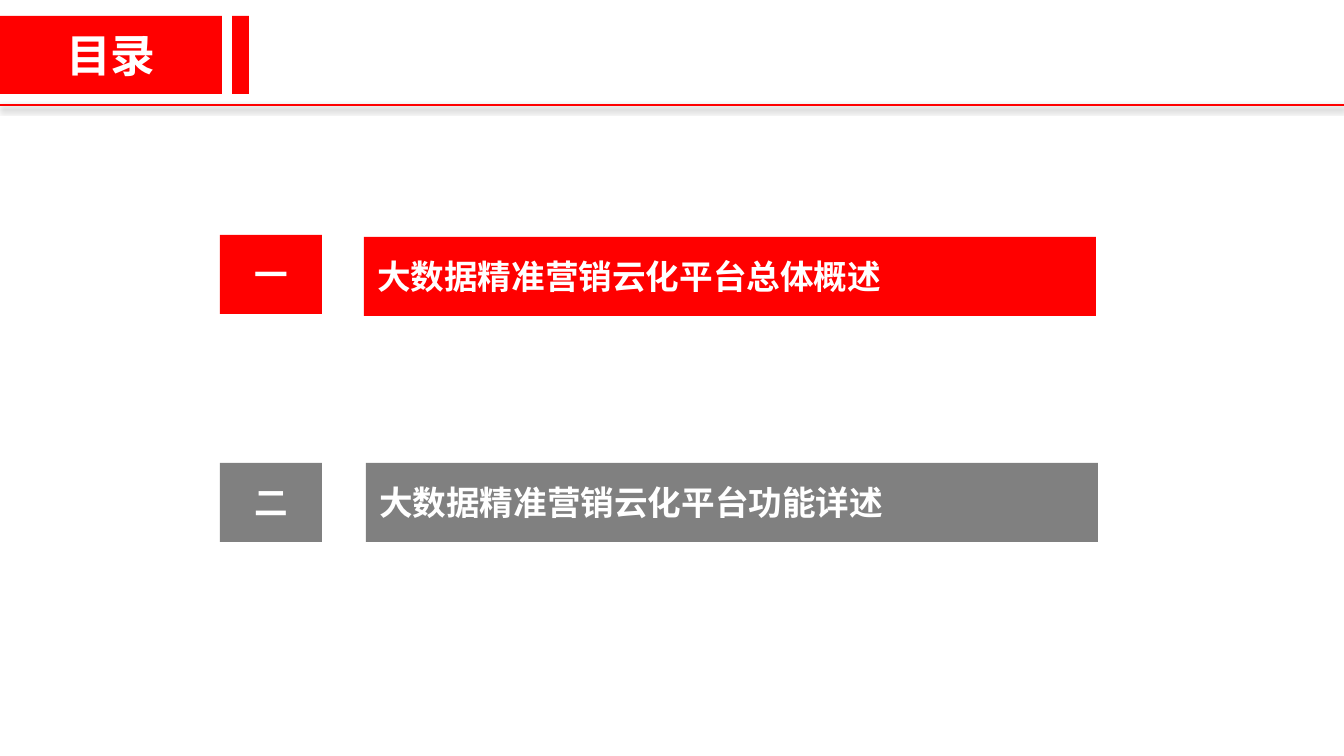
from lxml.etree import SubElement
from pptx import Presentation
from pptx.dml.color import RGBColor
from pptx.enum.lang import MSO_LANGUAGE_ID
from pptx.enum.shapes import MSO_CONNECTOR, MSO_SHAPE
from pptx.enum.text import MSO_ANCHOR, PP_ALIGN
from pptx.oxml import parse_xml
from pptx.oxml.ns import nsdecls, qn
from pptx.util import Inches, Pt

PX = Inches(10) / 1344
RED, GRAY, WHITE = "FF0000", "808080", "FFFFFF"
SANS = "Noto Sans CJK SC"


def paint(target, color):
    """Give a fill or a font one solid colour."""
    fill = getattr(target, "fill", target)
    fill.solid()
    fill.fore_color.rgb = RGBColor.from_string(color)


def block(group, box, color, text="", size=18, face=SANS, align=PP_ALIGN.CENTER):
    """Add a plain rectangle, placed in px, with bold white text if any."""
    rect = group.shapes.add_shape(
        MSO_SHAPE.RECTANGLE, *[round(n * PX) for n in box])
    rect.shadow.inherit = False
    paint(rect, color)
    rect.line.fill.background()
    if not text:
        return
    frame = rect.text_frame
    frame.word_wrap = True
    frame.vertical_anchor = MSO_ANCHOR.MIDDLE
    para = frame.paragraphs[0]
    para.alignment = align
    run = para.add_run()
    run.text = text
    paint(run.font, WHITE)
    style = {"size": Pt(size), "bold": True, "name": face,
             "language_id": MSO_LANGUAGE_ID.SIMPLIFIED_CHINESE}
    for key, value in style.items():
        setattr(run.font, key, value)
    SubElement(run.font._element, qn("a:ea"), typeface=face)


deck = Presentation()
deck.slide_width = round(1344 * PX)
deck.slide_height = round(756 * PX)
slide = deck.slides.add_slide(deck.slide_layouts[6])
shapes = slide.shapes

# Header rule with a soft shadow below it
rule_y = round(105 * PX)
rule = shapes.add_connector(
    MSO_CONNECTOR.STRAIGHT, 0, rule_y, deck.slide_width, rule_y)
paint(rule.line, RED)
rule.line.width = Pt(1.5)
rule._element.spPr.append(parse_xml(
    f'<a:effectLst {nsdecls("a")}>'
    f'<a:outerShdw blurRad="{Pt(3.1)}" dist="{Pt(1.6)}" dir="5400000" rotWithShape="0">'
    '<a:srgbClr val="000000"><a:alpha val="38000"/></a:srgbClr>'
    '</a:outerShdw></a:effectLst>'))

# Page title
head = shapes.add_group_shape()
block(head, (0, 16, 222, 78), RED, "目录", 24, "Arial")
block(head, (232, 16, 17, 78), RED)

# Agenda: number, title, colour, title left and top, number top
items = [
    ("一", "大数据精准营销云化平台总体概述", RED, 364, 237, 235),
    ("二", "大数据精准营销云化平台功能详述", GRAY, 366, 463, 463),
]
for mark, title, color, left, top, mark_top in items:
    item = shapes.add_group_shape()
    block(item, (left, top, 732, 79), color, title, align=PP_ALIGN.LEFT)
    block(item, (220, mark_top, 102, 79), color, mark)

deck.save("out.pptx")
